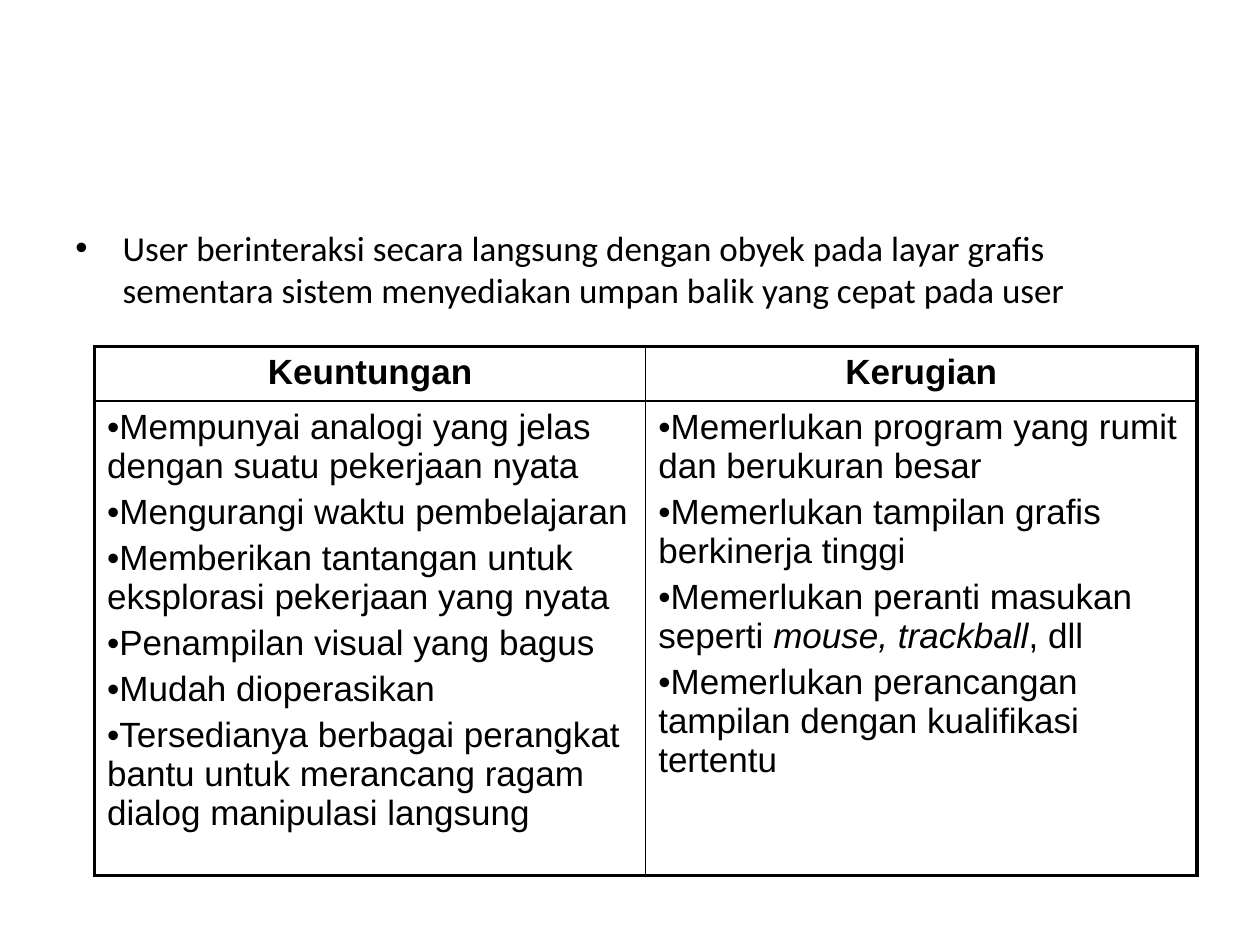
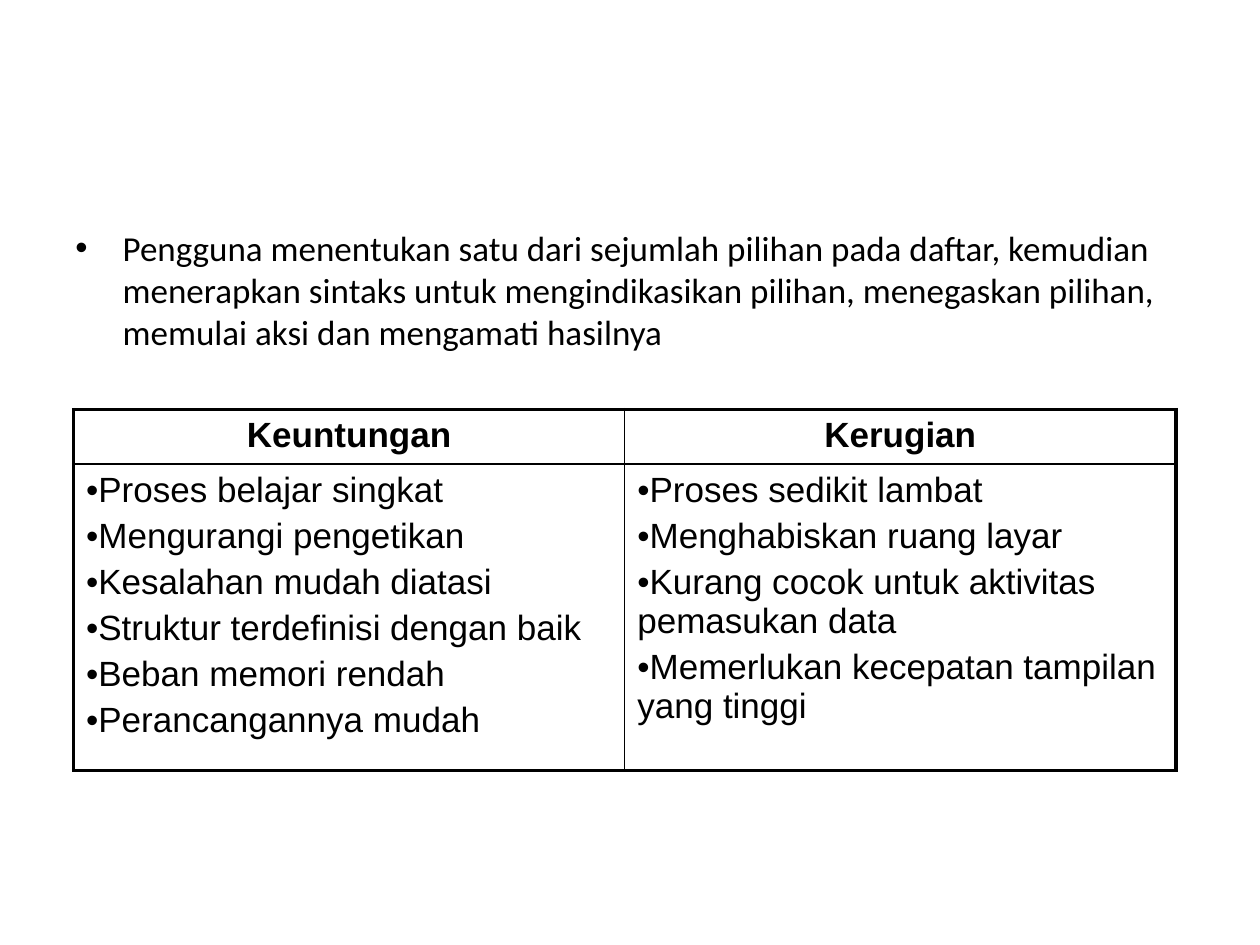
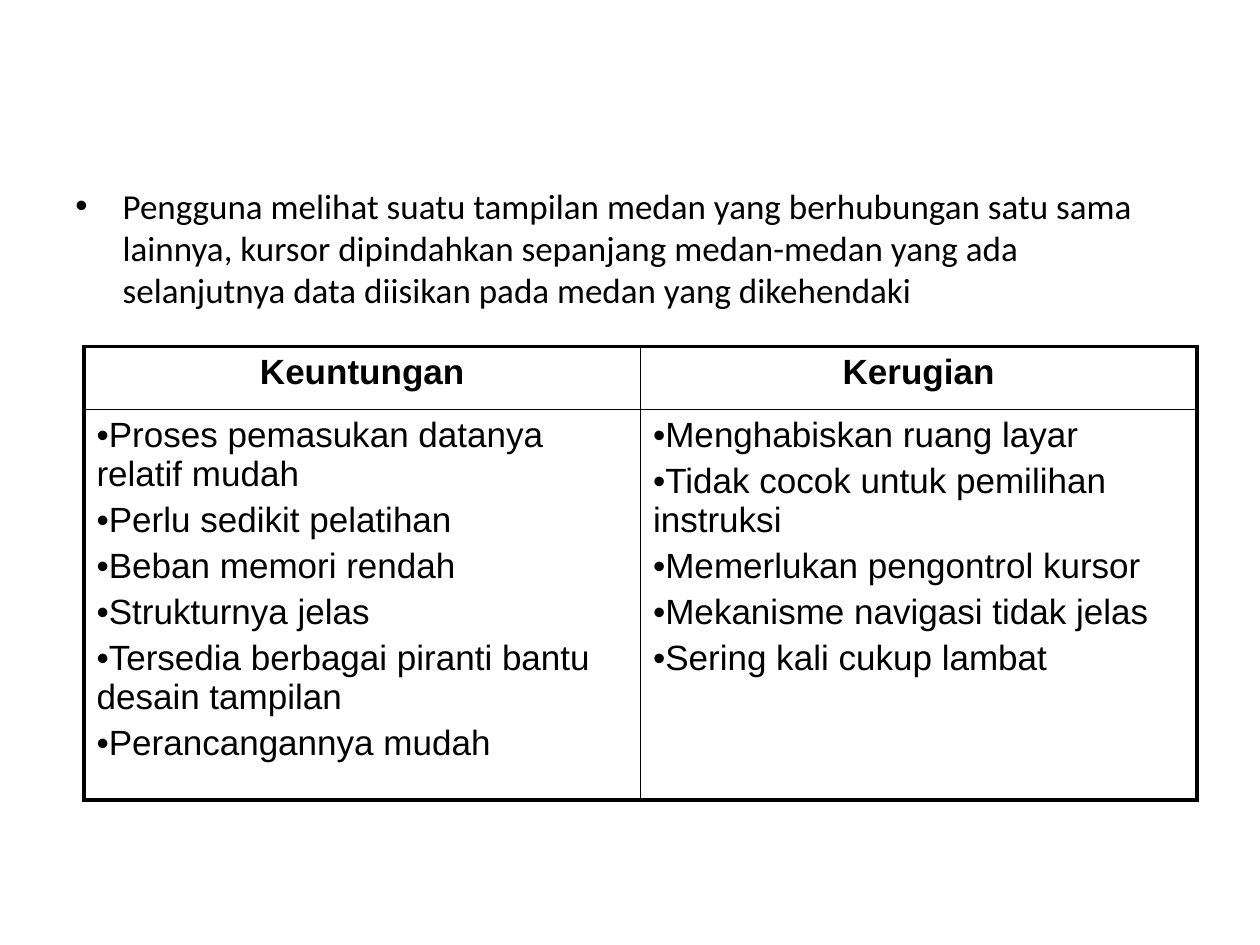
import pptx
import pptx.dml.color
import pptx.enum.text
import pptx.oxml.ns
import pptx.util
from lxml import etree

BLACK = pptx.dml.color.RGBColor(0, 0, 0)
WHITE = pptx.dml.color.RGBColor(255, 255, 255)
INTRO_FONT, TABLE_FONT = "Calibri", "Arial"
TEXT_SIZE = 20
SPACE_BEFORE = 0.2 * TEXT_SIZE
OUTER, INNER = 2.25, 1
GRID_COLUMNS, GRID_ROWS = 120, 90
HANGING = 4.5
HEADINGS = ["Keuntungan", "Kerugian"]

DIALOG_STYLES = [
    {
        "intro": "User berinteraksi secara langsung dengan obyek pada layar grafis sementara "
                 "sistem menyediakan umpan balik yang cepat pada user",
        "intro_box": (6, 21, 108, 11),
        "table_at": (9, 33), "table_columns": 105, "table_rows": (5.2, 45.2),
        "advantages": [
            "Mempunyai analogi yang jelas dengan suatu pekerjaan nyata",
            "Mengurangi waktu pembelajaran",
            "Memberikan tantangan untuk eksplorasi pekerjaan yang nyata",
            "Penampilan visual yang bagus",
            "Mudah dioperasikan",
            "Tersedianya berbagai perangkat bantu untuk merancang ragam dialog manipulasi langsung",
        ],
        "drawbacks": [
            "Memerlukan program yang rumit dan berukuran besar",
            "Memerlukan tampilan grafis berkinerja tinggi",
            ("Memerlukan peranti masukan seperti ", "mouse, trackball", ", dll"),
            "Memerlukan perancangan tampilan dengan kualifikasi tertentu",
        ],
    },
    {
        "intro": "Pengguna menentukan satu dari sejumlah pilihan pada daftar, kemudian menerapkan "
                 "sintaks untuk mengindikasikan pilihan, menegaskan pilihan, memulai aksi dan "
                 "mengamati hasilnya",
        "intro_box": (6, 21, 108, 59.4),
        "table_at": (7, 39), "table_columns": 105, "table_rows": (5.2, 29.2),
        "advantages": [
            "Proses belajar singkat",
            "Mengurangi pengetikan",
            "Kesalahan mudah diatasi",
            "Struktur terdefinisi dengan baik",
            "Beban memori rendah",
            "Perancangannya mudah",
        ],
        "drawbacks": [
            "Proses sedikit lambat",
            "Menghabiskan ruang layar",
            "Kurang cocok untuk aktivitas pemasukan data",
            "Memerlukan kecepatan tampilan yang tinggi",
        ],
    },
    {
        "intro": "Pengguna melihat suatu tampilan medan yang berhubungan satu sama lainnya, kursor "
                 "dipindahkan sepanjang medan-medan yang ada selanjutnya data diisikan pada medan "
                 "yang dikehendaki",
        "intro_box": (6, 17, 107, 63.4),
        "table_at": (8, 33), "table_columns": 106, "table_rows": (6, 37.2),
        "advantages": [
            "Proses pemasukan datanya relatif mudah",
            "Perlu sedikit pelatihan",
            "Beban memori rendah",
            "Strukturnya jelas",
            "Tersedia berbagai piranti bantu desain tampilan",
            "Perancangannya mudah",
        ],
        "drawbacks": [
            "Menghabiskan ruang layar",
            "Tidak cocok untuk pemilihan instruksi",
            "Memerlukan pengontrol kursor",
            "Mekanisme navigasi tidak jelas",
            "Sering kali cukup lambat",
        ],
    },
]

deck = pptx.Presentation()
deck.slide_width = pptx.util.Inches(10)
deck.slide_height = pptx.util.Inches(7.5)


def across(columns):
    return round(deck.slide_width * columns / GRID_COLUMNS)


def down(rows):
    return round(deck.slide_height * rows / GRID_ROWS)


def add_child(parent, tag, **attributes):
    child = etree.SubElement(parent, pptx.oxml.ns.qn(tag))
    for key, value in attributes.items():
        child.set(key, str(value))
    return child


def write(frame, entries, font=TABLE_FONT, bold=False, centred=False, bullet=True, hanging=0):
    frame.word_wrap = True
    for index, entry in enumerate(entries):
        paragraph = frame.add_paragraph() if index else frame.paragraphs[0]
        paragraph.space_before = pptx.util.Pt(SPACE_BEFORE)
        if centred:
            paragraph.alignment = pptx.enum.text.PP_ALIGN.CENTER
        if bullet:
            properties = paragraph._p.get_or_add_pPr()
            properties.set("marL", str(across(hanging)))
            properties.set("indent", str(-across(hanging)))
            add_child(properties, "a:buFont", typeface="Arial")
            add_child(properties, "a:buChar", char="•")
        parts = (entry,) if isinstance(entry, str) else entry
        for position, part in enumerate(parts):
            run = paragraph.add_run()
            run.text = part
            run.font.name = font
            run.font.size = pptx.util.Pt(TEXT_SIZE)
            run.font.bold = bold
            run.font.italic = position % 2 == 1
            run.font.color.rgb = BLACK


def draw_borders(cell, row, column):
    outer_sides = {"L": column == 0, "R": column == 1, "T": row == 0, "B": row == 1}
    for side, is_outer in outer_sides.items():
        width = pptx.util.Pt(OUTER if is_outer else INNER)
        line = add_child(cell._tc.get_or_add_tcPr(), "a:ln" + side, w=int(width))
        add_child(add_child(line, "a:solidFill"), "a:srgbClr", val=BLACK)
    cell.fill.background()


def add_comparison(slide, style):
    left, top = style["table_at"]
    table = slide.shapes.add_table(
        2, 2, across(left), down(top),
        across(style["table_columns"]), down(sum(style["table_rows"]))).table
    table.first_row = table.horz_banding = False
    for row, height in enumerate(style["table_rows"]):
        table.rows[row].height = down(height)
    for column, key in enumerate(("advantages", "drawbacks")):
        table.columns[column].width = across(style["table_columns"] / 2)
        write(table.cell(0, column).text_frame, [HEADINGS[column]],
              bold=True, centred=True, bullet=False)
        write(table.cell(1, column).text_frame, style[key])
        for row in range(2):
            draw_borders(table.cell(row, column), row, column)


for style in DIALOG_STYLES:
    slide = deck.slides.add_slide(deck.slide_layouts[6])
    slide.background.fill.solid()
    slide.background.fill.fore_color.rgb = WHITE
    left, top, width, height = style["intro_box"]
    intro = slide.shapes.add_textbox(across(left), down(top), across(width), down(height))
    write(intro.text_frame, [style["intro"]], font=INTRO_FONT, hanging=HANGING)
    add_comparison(slide, style)

deck.save("out.pptx")
